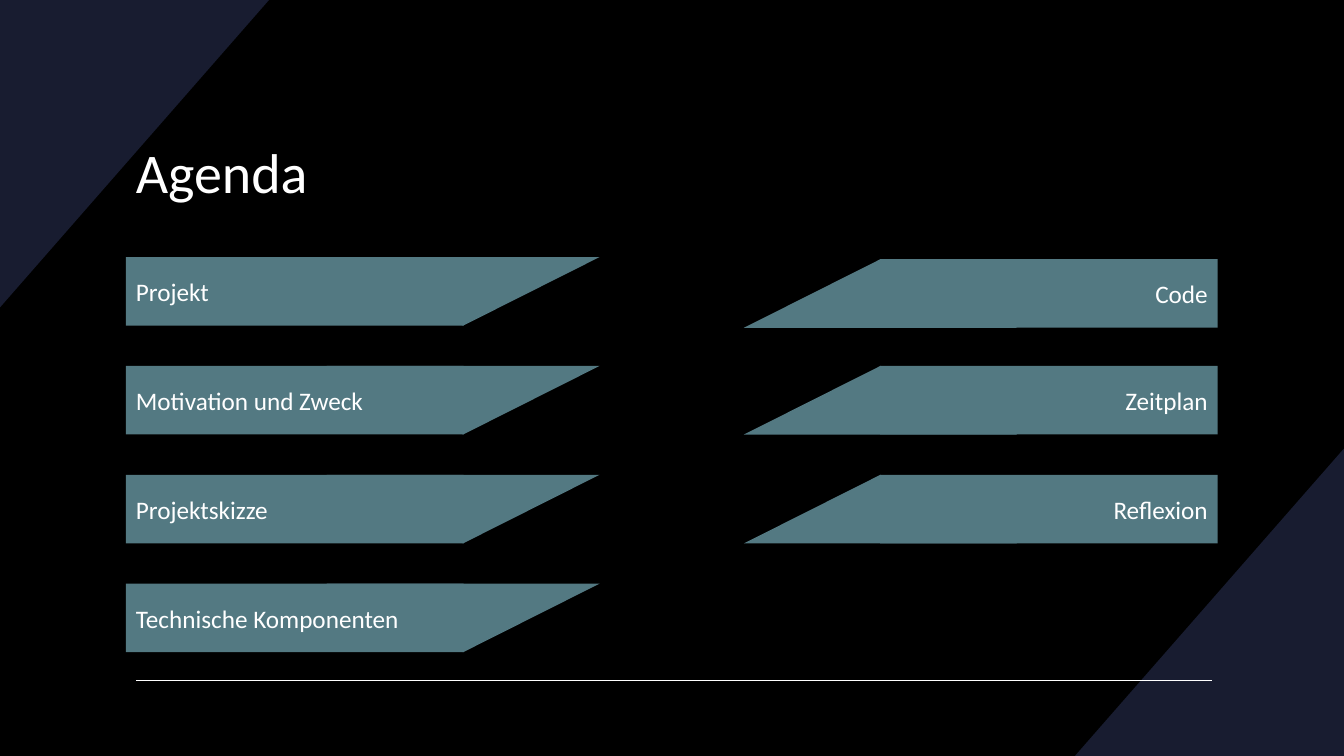
from lxml import etree
from pptx import Presentation
from pptx.dml.color import RGBColor
from pptx.enum.shapes import MSO_CONNECTOR, MSO_SHAPE
from pptx.enum.text import MSO_ANCHOR, PP_ALIGN
from pptx.oxml.ns import qn
from pptx.util import Pt

RECTANGLE = MSO_SHAPE.RECTANGLE
TRIANGLE = MSO_SHAPE.ISOSCELES_TRIANGLE
STRAIGHT = MSO_CONNECTOR.STRAIGHT
MIDDLE = MSO_ANCHOR.MIDDLE
LEFT = PP_ALIGN.LEFT
RIGHT = PP_ALIGN.RIGHT

BLACK = RGBColor(0x00, 0x00, 0x00)
WHITE = RGBColor(0xFF, 0xFF, 0xFF)
NAVY = RGBColor(0x18, 0x1C, 0x30)
TEAL = RGBColor(0x53, 0x79, 0x82)

WIDTH, HEIGHT = 960, 540
CORNER_WIDTH, CORNER_HEIGHT = 192.2, 219.6
BAR_WIDTH, BAR_HEIGHT = 241.2, 49
TIP_WIDTH = 195
LEFT_BAR, LEFT_TIP = 90, 233.3
RIGHT_BAR, RIGHT_TIP = 628.6, 531.4
FIRST_ROW, ROW_PITCH = 183.6, 77.76
CODE_DROP = 1.5

LEFT_TOPICS = ["Projekt", "Motivation und Zweck", "Projektskizze", "Technische Komponenten"]
RIGHT_TOPICS = ["Code", "Zeitplan", "Reflexion"]


class AgendaSlide:
    font = "Calibri"

    def __init__(self, slide):
        self.slide = slide
        self.shapes = slide.shapes
        slide.background.fill.solid()
        slide.background.fill.fore_color.rgb = BLACK

    def paint(self, shape, color):
        shape.shadow.inherit = False
        shape.fill.solid()
        shape.fill.fore_color.rgb = color
        shape.line.fill.background()

    def label(self, shape, text, size, align=LEFT):
        frame = shape.text_frame
        frame.word_wrap = True
        frame.vertical_anchor = MIDDLE
        paragraph = frame.paragraphs[0]
        paragraph.alignment = align
        run = paragraph.add_run()
        run.text = text
        run.font.name = self.font
        run.font.size = Pt(size)
        run.font.color.rgb = WHITE

    def corner(self, points):
        start, *others = [(Pt(x), Pt(y)) for x, y in points]
        builder = self.shapes.build_freeform(*start)
        builder.add_line_segments(others, close=True)
        self.paint(builder.convert_to_shape(), NAVY)

    def rule(self, x1, x2, y):
        line = self.shapes.add_connector(STRAIGHT, Pt(x1), Pt(y), Pt(x2), Pt(y))
        line.line.color.rgb = WHITE
        line.line.width = Pt(1)
        etree.SubElement(line._element.spPr, qn("a:effectLst"))

    def title(self, text, x, y, width, height):
        box = self.shapes.add_textbox(Pt(x), Pt(y), Pt(width), Pt(height))
        self.label(box, text, 40)

    def topic(self, text, bar_x, tip_x, y, rotation, align):
        group = self.shapes.add_group_shape()
        tip = group.shapes.add_shape(TRIANGLE, Pt(tip_x), Pt(y), Pt(TIP_WIDTH), Pt(BAR_HEIGHT))
        tip.rotation = rotation
        self.paint(tip, TEAL)
        bar = group.shapes.add_shape(RECTANGLE, Pt(bar_x), Pt(y), Pt(BAR_WIDTH), Pt(BAR_HEIGHT))
        self.paint(bar, TEAL)
        self.label(bar, text, 18, align)


def main():
    presentation = Presentation()
    presentation.slide_width = Pt(WIDTH)
    presentation.slide_height = Pt(HEIGHT)
    agenda = AgendaSlide(presentation.slides.add_slide(presentation.slide_layouts[6]))

    agenda.corner([(WIDTH, HEIGHT - CORNER_HEIGHT), (WIDTH, HEIGHT), (WIDTH - CORNER_WIDTH, HEIGHT)])
    agenda.corner([(0, CORNER_HEIGHT), (0, 0), (CORNER_WIDTH, 0)])
    agenda.rule(97.2, 865.4, 486)
    agenda.title("Agenda", 90, 68.4, 779.8, 107.3)

    for row, topic in enumerate(LEFT_TOPICS):
        agenda.topic(topic, LEFT_BAR, LEFT_TIP, FIRST_ROW + row * ROW_PITCH, 180, LEFT)
    for row, topic in enumerate(RIGHT_TOPICS):
        drop = CODE_DROP if row == 0 else 0
        agenda.topic(topic, RIGHT_BAR, RIGHT_TIP, FIRST_ROW + row * ROW_PITCH + drop, 0, RIGHT)

    presentation.save("out.pptx")


if __name__ == "__main__":
    main()
